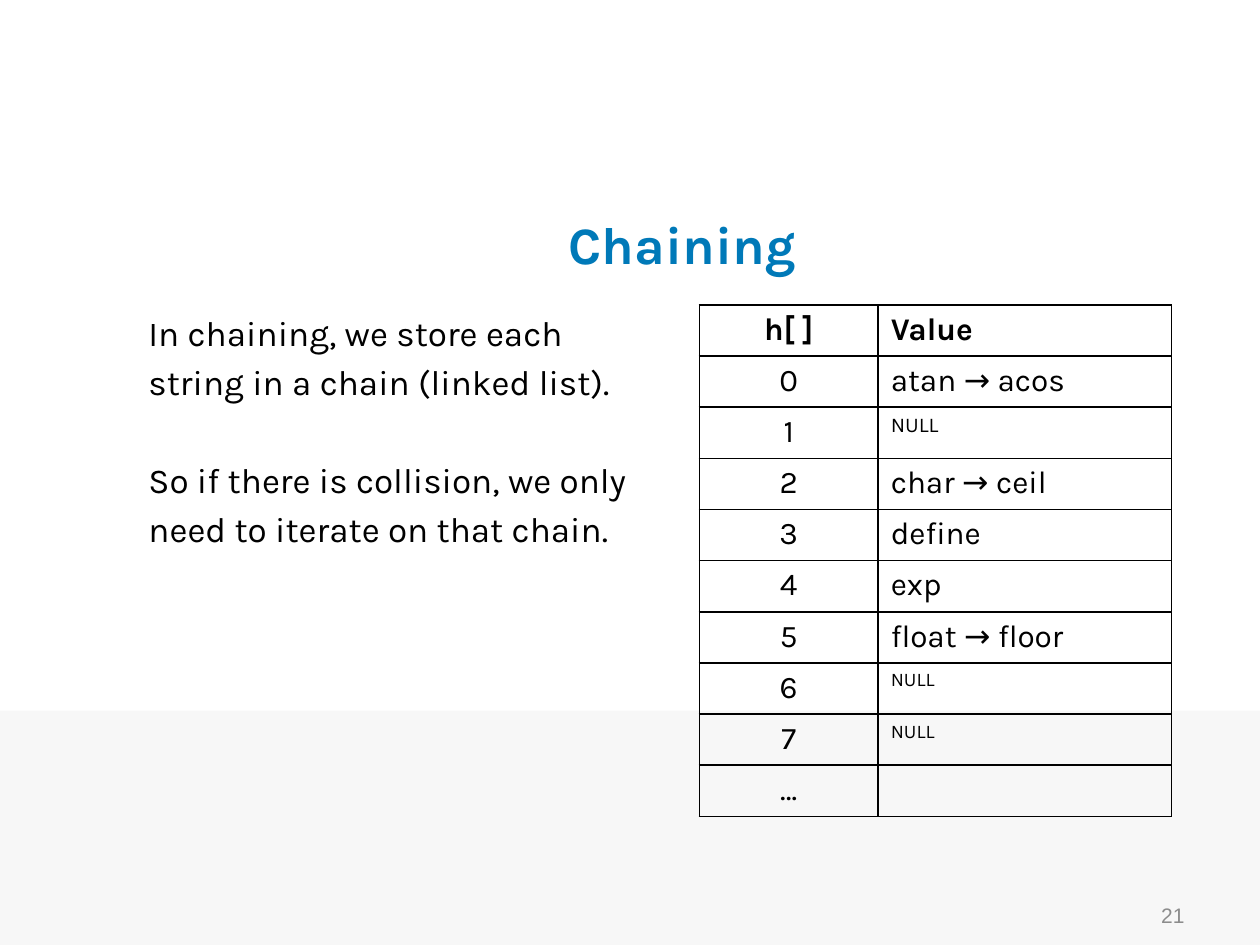
import pptx
import pptx.util
import pptx.dml.color
import pptx.enum.shapes
import pptx.enum.text
import pptx.oxml
import pptx.oxml.ns

Inches = pptx.util.Inches
Pt = pptx.util.Pt
ALIGN = pptx.enum.text.PP_ALIGN
ANCHOR = pptx.enum.text.MSO_ANCHOR
COLORS = {"white": "FFFFFF", "band": "F7F7F7", "title": "0079B8",
          "text": "000000", "number": "8C8C8C"}


def color(name):
    return pptx.dml.color.RGBColor.from_string(COLORS[name])


class Deck:
    font = "Karla"

    def __init__(self, width, height):
        self.file = pptx.Presentation()
        self.file.slide_width = Inches(width)
        self.file.slide_height = Inches(height)
        self.slide = self.file.slides.add_slide(self.file.slide_layouts[6])
        fill = self.slide.background.fill
        fill.solid()
        fill.fore_color.rgb = color("white")

    def add_run(self, para, text, size, tint="text", bold=False, align=ALIGN.LEFT, font=None):
        para.alignment = align
        run = para.add_run()
        run.text = text
        run.font.name = font or self.font
        run.font.size = Pt(size)
        run.font.bold = bold
        run.font.color.rgb = color(tint)

    def band(self, *box):
        kind = pptx.enum.shapes.MSO_SHAPE.RECTANGLE
        shape = self.slide.shapes.add_shape(kind, *map(Inches, box))
        shape.shadow.inherit = False
        shape.fill.solid()
        shape.fill.fore_color.rgb = color("band")
        shape.line.fill.background()

    def text(self, box, lines, size, anchor=ANCHOR.MIDDLE, gaps=None, **style):
        frame = self.slide.shapes.add_textbox(*map(Inches, box)).text_frame
        frame.word_wrap = True
        frame.vertical_anchor = anchor
        for i, line in enumerate(lines):
            para = frame.add_paragraph() if i else frame.paragraphs[0]
            if gaps:
                para.space_before = Pt(gaps[i])
            self.add_run(para, line, size, **style)

    def border(self, cell):
        props = cell._tc.get_or_add_tcPr()
        space = pptx.oxml.ns.nsdecls("a")
        for side in "LRTB":
            props.append(pptx.oxml.parse_xml(
                f'<a:ln{side} {space} w="12700"><a:solidFill>'
                f'<a:srgbClr val="{COLORS["text"]}"/></a:solidFill></a:ln{side}>'))

    def table(self, box, widths, rows, size, small):
        table = self.slide.shapes.add_table(
            len(rows), len(widths), *map(Inches, box)).table
        table.first_row = table.horz_banding = False
        for col, width in zip(table.columns, widths):
            col.width = Inches(width)
        for r, row in enumerate(rows):
            for c, text in enumerate(row):
                cell = table.cell(r, c)
                self.border(cell)
                cell.fill.background()
                if text:
                    points = small[r] if text == "NULL" else size
                    self.add_run(cell.text_frame.paragraphs[0], text, points, bold=r == 0,
                                 align=ALIGN.LEFT if c else ALIGN.CENTER)


deck = Deck(10, 7.5)
deck.band(0, 5.64, 10, 1.86)
deck.text((1.08, 1.5, 8.67, 0.87), ["Chaining"], 30,
          tint="title", bold=True, align=ALIGN.CENTER)
deck.text((1.08, 2.42, 4.4, 4.25),
          ["In chaining, we store each ", "string in a chain (linked list).",
           "So if there is collision, we only", "need to iterate on that chain."],
          20, anchor=ANCHOR.TOP, gaps=[4, 4, 32, 4])
deck.text((7.17, 7.06, 2.33, 0.4), ["21"], 12,
          tint="number", align=ALIGN.RIGHT, font="Arial")

values = ["atan → acos", "NULL", "char → ceil", "define", "exp",
          "float → floor", "NULL", "NULL"]
rows = [("h[ ]", "Value"), *((str(i), v) for i, v in enumerate(values)), ("…", "")]
deck.table((5.55, 2.42, 3.75, 4.06), (1.42, 2.33), rows, 18, {2: 12, 7: 11, 8: 11})
deck.file.save("out.pptx")
